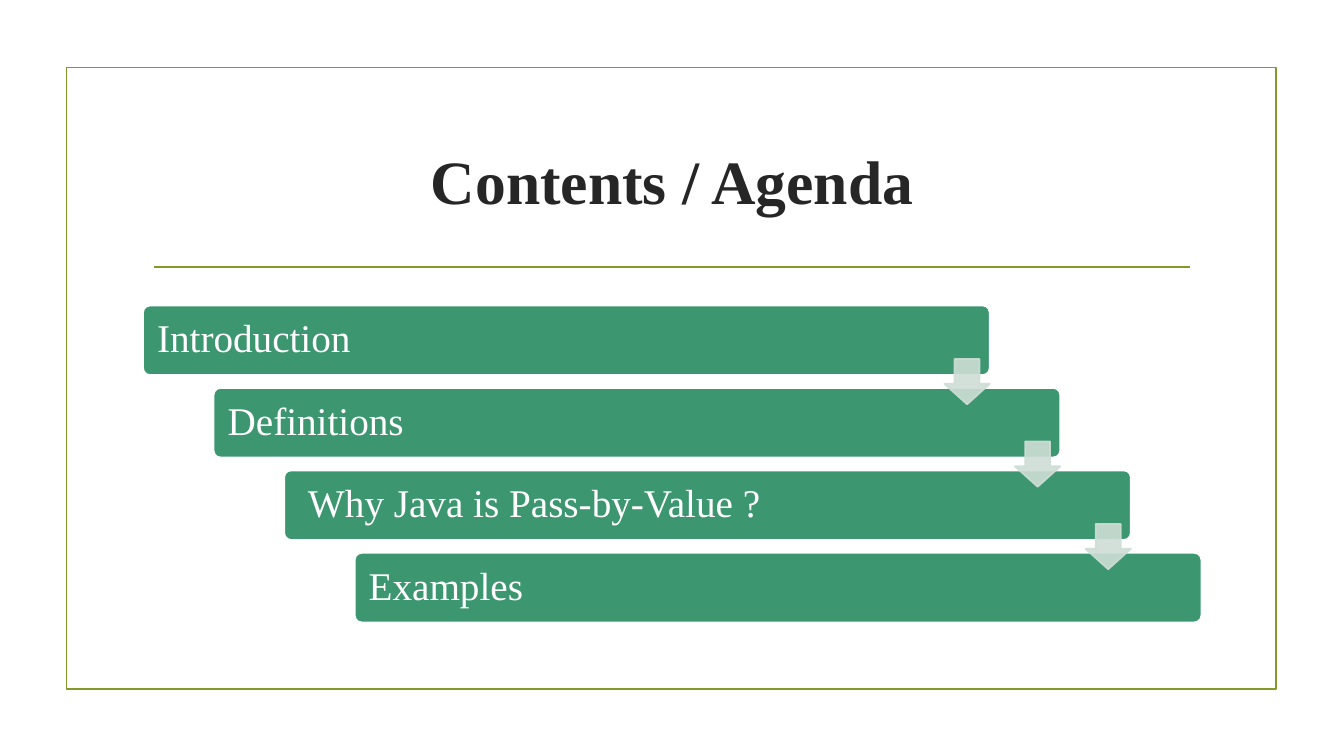
from lxml import etree
from pptx import Presentation
from pptx.dml.color import RGBColor
from pptx.enum.shapes import MSO_CONNECTOR, MSO_SHAPE
from pptx.enum.text import MSO_ANCHOR, PP_ALIGN
from pptx.oxml.ns import qn
from pptx.util import Pt

OLIVE = RGBColor(0x83, 0x99, 0x2A)
GREEN = RGBColor(0x3C, 0x97, 0x70)
PALE_GREEN = RGBColor(0xCE, 0xDD, 0xD5)
DARK = RGBColor(0x26, 0x26, 0x26)
WHITE = RGBColor(0xFF, 0xFF, 0xFF)
FONT = "Times New Roman"

TOPICS = ["Introduction", "Definitions", "Why Java is Pass-by-Value ?", "Examples"]
INDENTED_TOPIC = TOPICS[2]
BAR_LEFT, BAR_TOP = 102.2, 218.2
STEP_X, STEP_Y = 50.4, 58.9
BAR_WIDTH, BAR_HEIGHT = 604.8, 49.7
ARROW_SIZE = 32.4
ARROW_DROP = 38.2


def add_filled_shape(kind, left, top, width, height, fill, line):
    shape = slide.shapes.add_shape(kind, Pt(left), Pt(top), Pt(width), Pt(height))
    shape.shadow.inherit = False
    shape.fill.solid()
    shape.fill.fore_color.rgb = fill
    shape.line.color.rgb = line
    shape.line.width = Pt(1.25)
    return shape


deck = Presentation()
deck.slide_width, deck.slide_height = Pt(960), Pt(540)
slide = deck.slides.add_slide(deck.slide_layouts[5])

frame = add_filled_shape(MSO_SHAPE.RECTANGLE, 47.5, 48.2, 864, 444.2, WHITE, OLIVE)
frame.fill.background()

rule = slide.shapes.add_connector(
    MSO_CONNECTOR.STRAIGHT, Pt(110.2), Pt(190.8), Pt(850.3), Pt(190.8))
rule.line.color.rgb = OLIVE
rule.line.width = Pt(1.25)
etree.SubElement(rule.element.spPr, qn("a:effectLst"))

title = slide.shapes.title
title.left, title.top, title.width, title.height = Pt(102.2), Pt(77), Pt(756), Pt(103)
title.text_frame.text = "Contents / Agenda"
title.text_frame.vertical_anchor = MSO_ANCHOR.MIDDLE
para = title.text_frame.paragraphs[0]
para.alignment = PP_ALIGN.CENTER
para.font.name, para.font.size, para.font.bold = FONT, Pt(44), True
para.font.color.rgb = DARK

for index, topic in enumerate(TOPICS):
    bar = add_filled_shape(
        MSO_SHAPE.ROUNDED_RECTANGLE, BAR_LEFT + index * STEP_X,
        BAR_TOP + index * STEP_Y, BAR_WIDTH, BAR_HEIGHT, GREEN, WHITE)
    bar.adjustments[0] = 0.1
    text = bar.text_frame
    text.text = topic
    text.word_wrap = True
    text.vertical_anchor = MSO_ANCHOR.MIDDLE
    text.margin_left = Pt(15.6 if topic == INDENTED_TOPIC else 8.6)
    para = text.paragraphs[0]
    para.alignment = PP_ALIGN.LEFT
    para.line_spacing = 0.9
    para.font.name, para.font.size = FONT, Pt(28)
    para.font.color.rgb = WHITE

for index in range(len(TOPICS) - 1):
    arrow = add_filled_shape(
        MSO_SHAPE.DOWN_ARROW,
        BAR_LEFT + index * STEP_X + BAR_WIDTH - ARROW_SIZE,
        BAR_TOP + index * STEP_Y + ARROW_DROP,
        ARROW_SIZE, ARROW_SIZE, PALE_GREEN, PALE_GREEN)
    arrow.adjustments[0], arrow.adjustments[1] = 0.55, 0.45
    for color in arrow.element.spPr.iter(qn("a:srgbClr")):
        etree.SubElement(color, qn("a:alpha"), val="90000")

deck.save("out.pptx")
